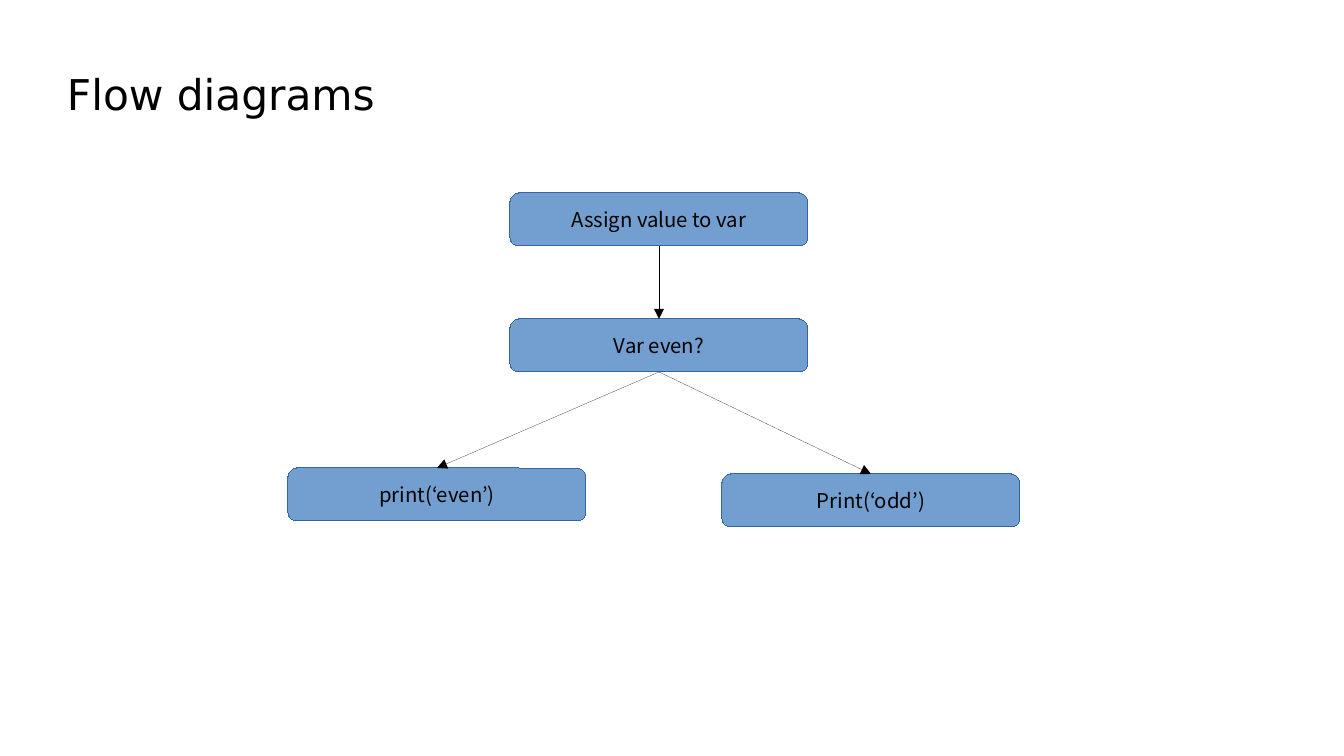
from dataclasses import dataclass

from pptx import Presentation
from pptx.dml.color import RGBColor
from pptx.enum.shapes import MSO_CONNECTOR, MSO_SHAPE
from pptx.enum.text import MSO_ANCHOR, PP_ALIGN
from pptx.oxml.ns import qn
from pptx.oxml.xmlchemy import OxmlElement
from pptx.shapes.autoshape import Shape
from pptx.shapes.connector import Connector
from pptx.shapes.shapetree import SlideShapes
from pptx.util import Emu, Pt

EMU_PER_PX = 7495
ROUNDED = MSO_SHAPE.ROUNDED_RECTANGLE
STRAIGHT = MSO_CONNECTOR.STRAIGHT
MIDDLE = MSO_ANCHOR.MIDDLE
LEFT, CENTER = PP_ALIGN.LEFT, PP_ALIGN.CENTER
TOP_SITE, BOTTOM_SITE = 0, 2
STEP_WIDTH, STEP_HEIGHT = 298, 53


@dataclass(frozen=True)
class Theme:
    ink: RGBColor = RGBColor(0x00, 0x00, 0x00)
    step_fill: RGBColor = RGBColor(0x72, 0x9F, 0xCF)
    step_line: RGBColor = RGBColor(0x34, 0x65, 0xA4)
    title_font: str = "DejaVu Sans"
    step_font: str = "Noto Sans CJK KR"
    title_size: int = 25
    step_size: int = 12


@dataclass(frozen=True)
class Step:
    key: str
    label: str
    left: int
    top: int


@dataclass(frozen=True)
class Arrow:
    source: str
    target: str


THEME = Theme()
STEPS = (
    Step("assign", "Assign value to var", 510, 193),
    Step("odd", "Print(‘odd’)", 722, 474),
    Step("test", "Var even?", 510, 319),
    Step("even", "print(‘even’)", 288, 468),
)
ARROWS = (Arrow("test", "odd"), Arrow("test", "even"), Arrow("assign", "test"))


def px(length: int) -> Emu:
    return Emu(length * EMU_PER_PX)


def write(shape: Shape, text: str, font: str, size: int, align: PP_ALIGN) -> None:
    frame = shape.text_frame
    frame.vertical_anchor = MIDDLE
    paragraph = frame.paragraphs[0]
    paragraph.alignment = align
    run = paragraph.add_run()
    run.text = text
    run.font.name = font
    run.font.size = Pt(size)
    run.font.color.rgb = THEME.ink


def set_hairline(shape: Shape | Connector, color: RGBColor) -> None:
    shape.line.color.rgb = color
    shape.element.spPr.find(qn("a:ln")).set("w", "0")


def draw_title(shapes: SlideShapes, text: str) -> None:
    title = shapes.add_textbox(px(67), px(30), px(1210), px(127))
    frame = title.text_frame
    frame.word_wrap = True
    frame.margin_left = frame.margin_right = 0
    frame.margin_top = frame.margin_bottom = 0
    write(title, text, THEME.title_font, THEME.title_size, LEFT)


def draw_step(shapes: SlideShapes, step: Step) -> Shape:
    box = shapes.add_shape(
        ROUNDED, px(step.left), px(step.top), px(STEP_WIDTH), px(STEP_HEIGHT)
    )
    box.shadow.inherit = False
    box.fill.solid()
    box.fill.fore_color.rgb = THEME.step_fill
    set_hairline(box, THEME.step_line)
    box.text_frame.word_wrap = False
    write(box, step.label, THEME.step_font, THEME.step_size, CENTER)
    return box


def draw_arrow(shapes: SlideShapes, source: Shape, target: Shape) -> None:
    link = shapes.add_connector(STRAIGHT, 0, 0, 0, 0)
    link.begin_connect(source, BOTTOM_SITE)
    link.end_connect(target, TOP_SITE)
    set_hairline(link, THEME.ink)
    head = OxmlElement("a:tailEnd")
    head.set("type", "triangle")
    properties = link.element.spPr
    properties.find(qn("a:ln")).append(head)
    properties.append(OxmlElement("a:effectLst"))


def main() -> None:
    deck = Presentation()
    deck.slide_width, deck.slide_height = px(1344), px(756)
    shapes = deck.slides.add_slide(deck.slide_layouts[6]).shapes
    draw_title(shapes, "Flow diagrams")
    boxes = {step.key: draw_step(shapes, step) for step in STEPS}
    for arrow in ARROWS:
        draw_arrow(shapes, boxes[arrow.source], boxes[arrow.target])
    deck.save("out.pptx")


if __name__ == "__main__":
    main()
